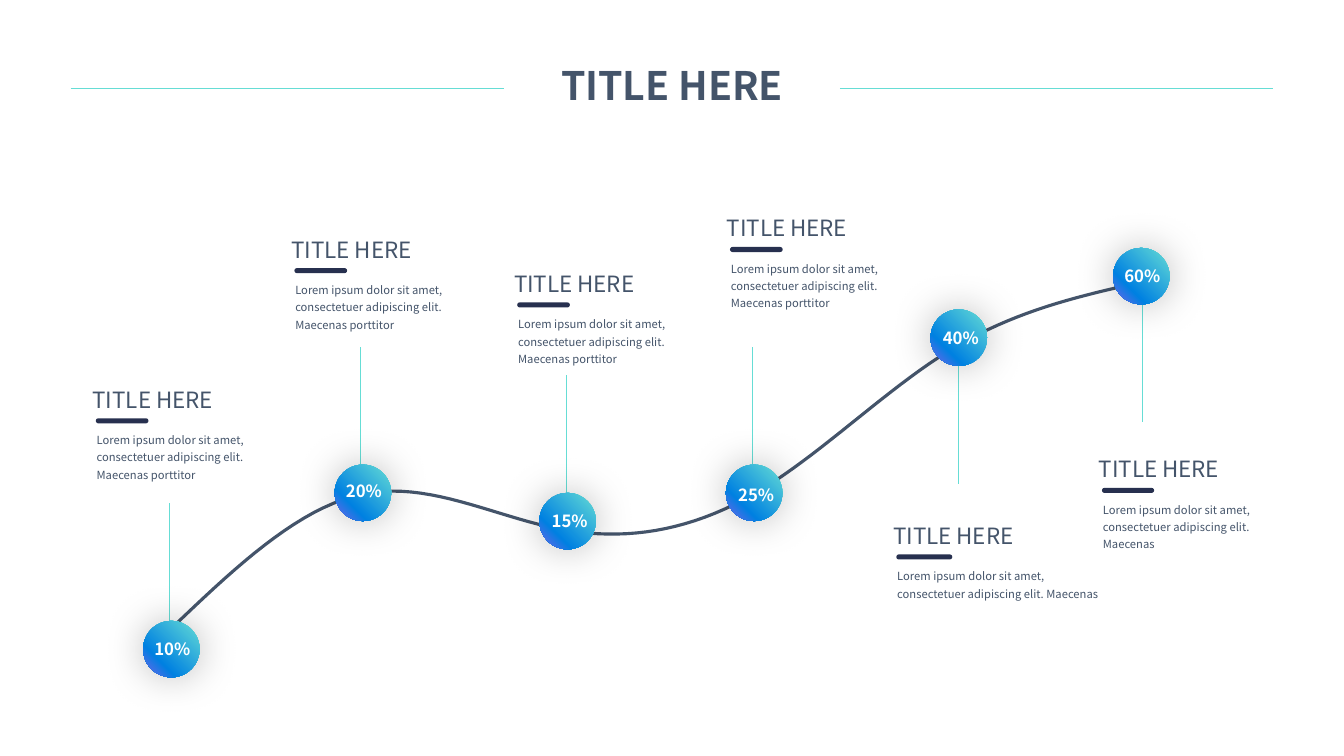
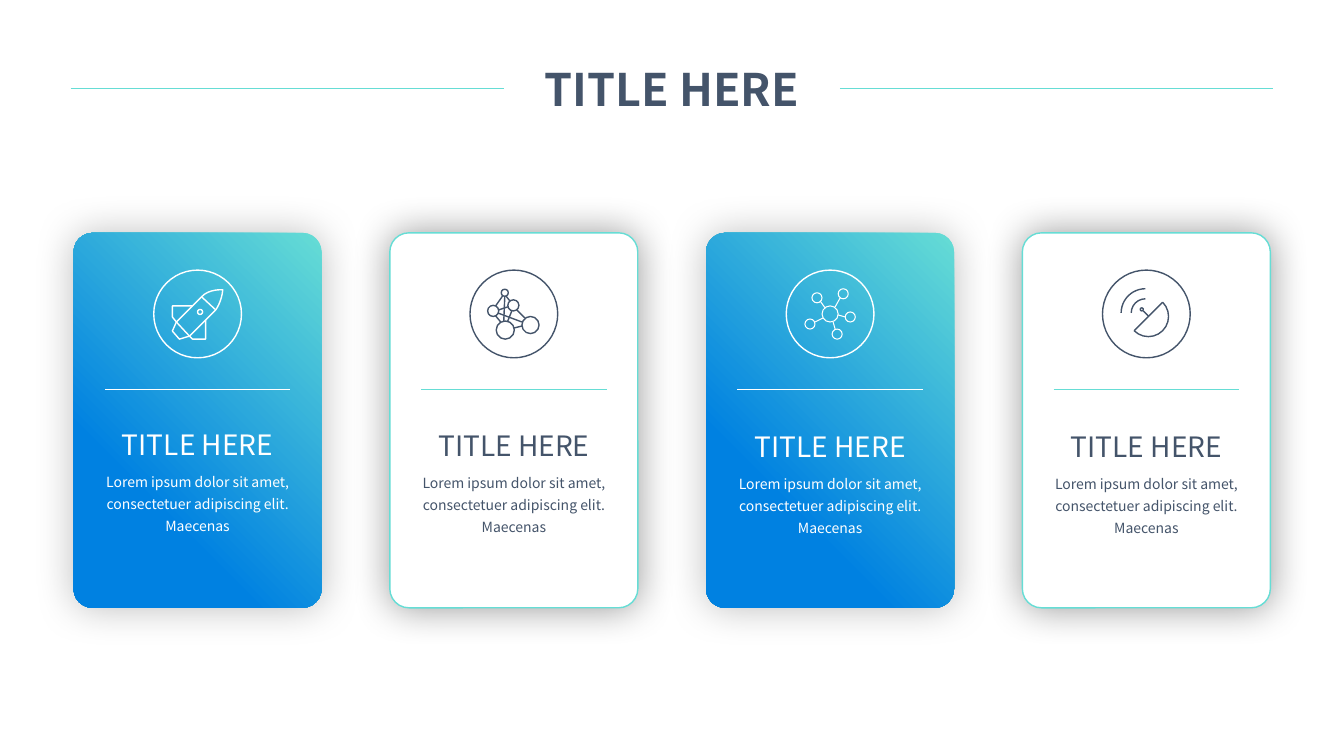
import math
from lxml import etree
from pptx import Presentation
from pptx import util as u
from pptx.chart import data as chart_data
from pptx.dml import color as dml_color
from pptx.enum import chart as chart_enum, shapes, text
from pptx.oxml import ns, parse_xml

FONT = "Noto Sans CJK SC"
SLATE, NAVY, TEAL, BLUE, VIOLET, WHITE = "44546A", "27304F", "66DDD5", "0081E1", "8160EB", "FFFFFF"
CARD_STOPS = [(0, TEAL), (71, BLUE)]
DOT_STOPS = CARD_STOPS + [(100, VIOLET)]

TITLE = "TITLE HERE"
SHORT_TEXT = "Lorem ipsum dolor sit amet, consectetuer adipiscing elit. Maecenas"
LONG_TEXT = SHORT_TEXT + " porttitor"
UP, DOWN = -1, 1

MILESTONES = [
    ("10%", (1.38, 6.29), 29, (1.7, 6.44), 1.68, UP, (0.82, 3.78, 2.09), LONG_TEXT),
    ("20%", (3.28, 4.72), 57, (3.6, 4.89), 3.57, UP, (2.79, 2.29, 2.09), LONG_TEXT),
    ("15%", (5.32, 5.02), 50, (5.63, 5.17), 5.62, UP, (5, 2.63, 2.09), LONG_TEXT),
    ("25%", (7.17, 4.76), 57, (7.48, 4.89), 7.46, UP, (7.11, 2.08, 2.09), LONG_TEXT),
    ("40%", (9.2, 3.2), 86, (9.51, 3.35), 9.51, DOWN, (8.76, 5.13, 2.22), SHORT_TEXT),
    ("60%", (11, 2.59), 100, (11.32, 2.74), 11.33, DOWN, (10.8, 4.47, 2.07), SHORT_TEXT),
]

ROCKET = {
    "arcs": [(2.5, -2, 2.5, 0, 360)],
    "paths": [
        [(25, -24), (24, -12, 18, -4, 18, -4), (-8, 22), (-18, 25), (-25, 17),
         (-21, 8), (4, -17), (11, -25, 25, -24, 25, -24)],
        [(4, -17), (18, -4)],
        [(-5, -8), (-25, -8), (-25, 3), (-21, 8)],
        [(-21, 8), (-8, 22), (-5, 25), (8, 25), (8, 6)],
    ],
}
NETWORK = {
    "arcs": [(-9, -21, 3.5, 0, 360), (-20.5, -3, 5.5, 0, 360), (-8.5, 16, 9, 0, 360),
             (-0.5, -8.5, 5.5, 0, 360), (16.5, 11, 8.5, 0, 360)],
    "paths": [[(8, 12), (0, 14)], [(-15, -4), (-6, -7)], [(-6, 7), (-2, -3)],
              [(-13, 8), (-18, 2)], [(8, 8), (-16, -1)], [(-11, -18), (-18, -8)],
              [(11, 4), (3, -4)], [(-10, 7), (-9, -17)], [(-8, -18), (-4, -13)]],
}
MOLECULE = {
    "arcs": [(0, 0, 8, 0, 360), (13, -20, 5, 0, 360), (-13, -16, 5, 0, 360),
             (-20, 10, 5, 0, 360), (7, 20, 5, 0, 360), (20, 3, 5, 0, 360)],
    "paths": [[(10, -16), (5, -7)], [(-5, -6), (-10, -13)], [(-15, 8), (-7, 4)],
              [(5, 15), (3, 8)], [(8, 1), (15, 3)]],
}
DISH = {
    "arcs": [(-4.5, -4.5, 1.5, 0, 360), (-1, -1, 14, 180, 90), (-1, -1, 24, 180, 90),
             (2, 2.5, 20, -45, 180)],
    "paths": [[(2, 2), (-3, -3)], [(16.14, -11.64), (-12.14, 16.64)]],
}
CARDS = [(ROCKET, True, 1, 4.19), (NETWORK, False, 1, 4.2),
         (MOLECULE, True, 0.75, 4.21), (DISH, False, 1, 4.21)]


def rgb(value):
    return dml_color.RGBColor.from_string(value)


def style_line(line, color, width):
    line.color.rgb = rgb(color)
    line.width = u.Pt(width)


def add_line(page, start, end, color, width=0.5):
    ends = [u.Inches(v) for v in (*start, *end)]
    line = page.shapes.add_connector(shapes.MSO_CONNECTOR.STRAIGHT, *ends)
    style_line(line.line, color, width)
    etree.SubElement(line.element.spPr, ns.qn("a:effectLst"))
    return line


def add_shape(page, kind, left, top, width, height, fill=None, radius=None):
    shape = page.shapes.add_shape(kind, *map(u.Inches, (left, top, width, height)))
    shape.shadow.inherit = False
    shape.line.fill.background()
    if radius is not None:
        shape.adjustments[0] = radius
    if fill is None:
        shape.fill.background()
    elif isinstance(fill, str):
        shape.fill.solid()
        shape.fill.fore_color.rgb = rgb(fill)
    else:
        shape.fill.gradient()
        shape.fill.gradient_angle = 225
        stops = shape.element.spPr.find(".//" + ns.qn("a:gsLst"))
        stops[:] = []
        for position, color in fill:
            stop = etree.SubElement(stops, ns.qn("a:gs"), pos=str(position * 1000))
            etree.SubElement(stop, ns.qn("a:srgbClr"), val=color)
    return shape


def add_glow(shape, opacity, blur):
    effects = shape.element.spPr.find(ns.qn("a:effectLst"))
    glow = etree.SubElement(effects, ns.qn("a:outerShdw"), blurRad=str(u.Pt(blur)),
                            dist="0", dir="0", algn="ctr", rotWithShape="0")
    color = etree.SubElement(glow, ns.qn("a:srgbClr"), val="000000")
    etree.SubElement(color, ns.qn("a:alpha"), val=str(opacity * 1000))


def write(frame, words, size, color, bold=False, centred=False, spacing=None):
    para = frame.paragraphs[0]
    para.text = words
    para.font.name, para.font.size, para.font.bold = FONT, u.Pt(size), bold
    para.font.color.rgb = rgb(color)
    para.alignment = text.PP_ALIGN.CENTER if centred else text.PP_ALIGN.LEFT
    if spacing:
        para.line_spacing = spacing


def add_text(page, left, top, width, height, words, size, color, **style):
    box = page.shapes.add_textbox(*map(u.Inches, (left, top, width, height)))
    box.text_frame.word_wrap = True
    write(box.text_frame, words, size, color, **style)


def add_page(deck, layout, title_size, title_height):
    page = deck.slides.add_slide(layout)
    title = page.shapes.title
    title.left, title.top, title.width, title.height = map(u.Inches, (5, 0.56, 3.33, title_height))
    title.text_frame.auto_size = text.MSO_AUTO_SIZE.NONE
    write(title.text_frame, TITLE, title_size, SLATE, bold=True, centred=True)
    return page


def add_curve(page):
    source = chart_data.CategoryChartData()
    source.categories = [str(n + 1) for n in range(len(MILESTONES))]
    source.add_series("Series 1", [milestone[2] for milestone in MILESTONES])
    place = map(u.Inches, (0.65, 2.08, 11.95, 5.93))
    chart = page.shapes.add_chart(chart_enum.XL_CHART_TYPE.LINE_MARKERS, *place, source).chart
    chart.has_legend = chart.has_title = False
    chart.font.name, chart.font.size = FONT, u.Pt(10)
    chart.font.color.rgb = rgb("000000")
    chart.value_axis.minimum_scale, chart.value_axis.maximum_scale = 0, 114.5
    chart.value_axis.has_major_gridlines = False
    chart.value_axis.visible = chart.category_axis.visible = False
    chart.plots[0].vary_by_categories = False
    series = chart.plots[0].series[0]
    series.smooth = True
    style_line(series.format.line, SLATE, 2.25)
    series.marker.style, series.marker.size = chart_enum.XL_MARKER_STYLE.CIRCLE, 5
    series.marker.format.fill.solid()
    series.marker.format.fill.fore_color.rgb = rgb(NAVY)
    series.marker.format.line.fill.background()
    plot_area = chart.element.find(".//" + ns.qn("c:plotArea"))
    for old in plot_area.findall(ns.qn("c:layout")):
        plot_area.remove(old)
    layout = parse_xml(
        f'<c:layout {ns.nsdecls("c")}><c:manualLayout><c:layoutTarget val="inner"/>'
        '<c:xMode val="edge"/><c:yMode val="edge"/><c:x val="0.003"/><c:y val="0"/>'
        '<c:w val="0.974"/><c:h val="0.948"/></c:manualLayout></c:layout>')
    plot_area.insert(0, layout)


def add_label(page, left, top, width, words):
    add_text(page, left, top, width - 0.11, 0.37, TITLE, 16, SLATE)
    add_text(page, left + 0.04, top + 0.43, width, 0.61, words, 8, SLATE, spacing=1.3)
    add_shape(page, shapes.MSO_SHAPE.ROUNDED_RECTANGLE, left + 0.13, top + 0.37,
              width / 4, 0.05, NAVY, 0.5)


def fill_timeline(page):
    size = 0.56
    add_curve(page)
    for _, _, _, (_, y), stem_x, side, label, words in MILESTONES:
        start = y + side * 0.22
        add_line(page, (stem_x, start), (stem_x, start + side * 1.23), TEAL)
        add_label(page, *label, words)
    for share, share_place, _, (x, y), *_ in MILESTONES:
        dot = add_shape(page, shapes.MSO_SHAPE.OVAL, x - size / 2, y - size / 2,
                        size, size, DOT_STOPS)
        add_glow(dot, 25, 29)
        add_text(page, *share_place, 0.66, 0.3, share, 12, WHITE, bold=True, centred=True)


def add_icon(page, icon, x, y, color, width):
    reach = 25
    left, top, right, bottom = (u.Inches(v) for v in (
        x - reach / 100, y - reach / 100, x + reach / 100, y + reach / 100))
    builder = page.shapes.build_freeform(left, top)
    builder.add_line_segments([(right, bottom)], close=False)
    drawing = builder.convert_to_shape()
    outline = drawing.element.spPr.find(".//" + ns.qn("a:path"))
    outline[:] = []

    def add_step(name, *coordinates):
        step = etree.SubElement(outline, ns.qn(name))
        for dx, dy in zip(coordinates[::2], coordinates[1::2]):
            spot = [str(u.Inches((v + reach) / 100)) for v in (dx, dy)]
            etree.SubElement(step, ns.qn("a:pt"), x=spot[0], y=spot[1])

    for first, *rest in icon["paths"]:
        add_step("a:moveTo", *first)
        for point in rest:
            add_step("a:lnTo" if len(point) == 2 else "a:cubicBezTo", *point)
    for cx, cy, radius, start, sweep in icon["arcs"]:
        angle = math.radians(start)
        add_step("a:moveTo", cx + radius * math.cos(angle), cy + radius * math.sin(angle))
        size = str(u.Inches(radius / 100))
        etree.SubElement(outline, ns.qn("a:arcTo"), wR=size, hR=size,
                         stAng=str(start * 60000), swAng=str(sweep * 60000))
    drawing.shadow.inherit = False
    drawing.fill.background()
    style_line(drawing.line, color, width)


def fill_cards(page):
    left, right, top, width, height = 0.73, 12.6, 2.31, 2.46, 3.72
    pitch = (right - left - width) / (len(CARDS) - 1)
    ring_size, ring_top, rule_width, text_width = 0.87, 2.68, 1.84, 2.3
    for number, (icon, bright, icon_width, text_top) in enumerate(CARDS):
        x = left + number * pitch
        middle = x + width / 2
        ink = WHITE if bright else SLATE
        card = add_shape(page, shapes.MSO_SHAPE.ROUNDED_RECTANGLE, x, top, width, height,
                         CARD_STOPS if bright else WHITE, 0.077)
        if bright:
            add_glow(card, 25, 29)
        else:
            style_line(card.line, TEAL, 1)
            add_glow(card, 40, 28)
        add_line(page, (middle - rule_width / 2, 3.86), (middle + rule_width / 2, 3.86),
                 WHITE if bright else TEAL)
        text_left = middle - text_width / 2
        add_text(page, text_left, text_top, text_width, 0.44, TITLE, 20, ink, centred=True)
        add_text(page, text_left, text_top + 0.41, text_width, 0.74, SHORT_TEXT, 10, ink,
                 centred=True, spacing=1.3)
        ring = add_shape(page, shapes.MSO_SHAPE.OVAL, middle - ring_size / 2, ring_top,
                         ring_size, ring_size)
        style_line(ring.line, ink, 1)
        add_icon(page, icon, middle, ring_top + ring_size / 2, ink, icon_width)


def main():
    deck = Presentation()
    deck.slide_width, deck.slide_height = u.Inches(13.33), u.Inches(7.5)
    layout = deck.slide_layouts.get_by_name("Title Only")
    timeline = add_page(deck, layout, 28, 0.57)
    for start, end in [(0.7, 5), (8.33, 12.63)]:
        rule = add_line(timeline, (start, 0.88), (end, 0.88), TEAL)
        layout.shapes.element.append(rule.element)
    fill_timeline(timeline)
    fill_cards(add_page(deck, layout, 32, 0.64))
    deck.save("out.pptx")


if __name__ == "__main__":
    main()
